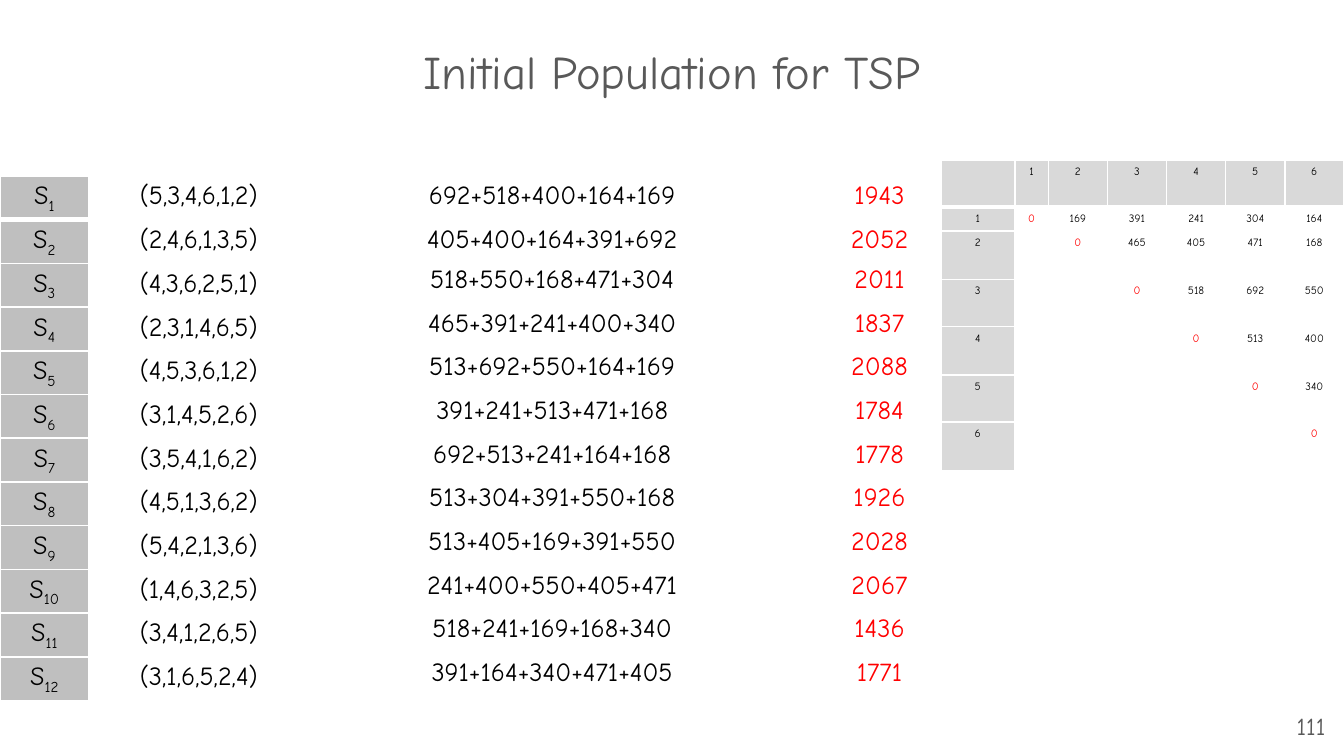
import dataclasses
import typing

import lxml.etree
import pptx
import pptx.dml.color
import pptx.enum.text
import pptx.oxml.ns
import pptx.util

Inches = pptx.util.Inches
Align = pptx.enum.text.PP_ALIGN
Anchor = pptx.enum.text.MSO_ANCHOR

FONT = "Comic Neue"
COLORS = {
    "title": "595959",
    "text": "000000",
    "mark": "FF0000",
    "label": "BFBFBF",
    "head": "D9D9D9",
    "edge": "FFFFFF",
}
PAD = (0.1, 0.04, 0.1, 0.04)
LABEL = (0.1, 0.04, 0.1, 0.02)
TIGHT = (0.01, 0.01, 0.01, 0)

TOURS = [
    ("(5,3,4,6,1,2)", "692+518+400+164+169"),
    ("(2,4,6,1,3,5)", "405+400+164+391+692"),
    ("(4,3,6,2,5,1)", "518+550+168+471+304"),
    ("(2,3,1,4,6,5)", "465+391+241+400+340"),
    ("(4,5,3,6,1,2)", "513+692+550+164+169"),
    ("(3,1,4,5,2,6)", "391+241+513+471+168"),
    ("(3,5,4,1,6,2)", "692+513+241+164+168"),
    ("(4,5,1,3,6,2)", "513+304+391+550+168"),
    ("(5,4,2,1,3,6)", "513+405+169+391+550"),
    ("(1,4,6,3,2,5)", "241+400+550+405+471"),
    ("(3,4,1,2,6,5)", "518+241+169+168+340"),
    ("(3,1,6,5,2,4)", "391+164+340+471+405"),
]
# Upper triangle of the distance matrix, from the diagonal rightwards
COSTS = [
    [0, 169, 391, 241, 304, 164],
    [0, 465, 405, 471, 168],
    [0, 518, 692, 550],
    [0, 513, 400],
    [0, 340],
    [0],
]


@dataclasses.dataclass
class Cell:
    text: str = ""
    sub: str = ""
    color: str = "text"
    fill: str = ""
    pad: tuple = PAD


@dataclasses.dataclass
class Grid:
    left: float
    top: float
    cols: list[float]
    rows: list[float]
    size: float
    cells: list[list[Cell]]


def add_run(para: typing.Any, text: str, size: float, color: str) -> typing.Any:
    run = para.add_run()
    run.text = text
    run.font.size = pptx.util.Pt(size)
    run.font.name = FONT
    run.font.color.rgb = pptx.dml.color.RGBColor.from_string(COLORS[color])
    return run


def add_text(slide: typing.Any, text: str, box: tuple, size: float,
             align: Align, anchor: Anchor, pad: tuple) -> None:
    frame = slide.shapes.add_textbox(*map(Inches, box)).text_frame
    frame.word_wrap = True
    frame.vertical_anchor = anchor
    set_pad(frame, pad)
    para = frame.paragraphs[0]
    para.alignment = align
    add_run(para, text, size, "title")


def set_pad(item: typing.Any, pad: tuple) -> None:
    """Set the left, top, right and bottom margins of a cell or text frame."""
    (item.margin_left, item.margin_top,
     item.margin_right, item.margin_bottom) = map(Inches, pad)


def add_edges(cell: typing.Any, row: int) -> None:
    """Rule the cell in white, thicker between the first two rows."""
    qn = pptx.oxml.ns.qn
    props = cell._tc.get_or_add_tcPr()
    widths = {"L": 1, "R": 1, "T": 3 if row == 1 else 1, "B": 3 if row == 0 else 1}
    for place, (side, width) in enumerate(widths.items()):
        line = lxml.etree.Element(qn(f"a:ln{side}"), w=str(pptx.util.Pt(width)))
        fill = lxml.etree.SubElement(line, qn("a:solidFill"))
        lxml.etree.SubElement(fill, qn("a:srgbClr"), val=COLORS["edge"])
        props.insert(place, line)


def fill_cell(cell: typing.Any, data: Cell, size: float) -> None:
    set_pad(cell, data.pad)
    if data.fill:
        cell.fill.solid()
        cell.fill.fore_color.rgb = pptx.dml.color.RGBColor.from_string(COLORS[data.fill])
    else:
        cell.fill.background()
    para = cell.text_frame.paragraphs[0]
    para.alignment = Align.CENTER
    if data.text:
        add_run(para, data.text, size, data.color)
    else:
        # An empty cell must not stretch its row
        lxml.etree.SubElement(para._p, pptx.oxml.ns.qn("a:endParaRPr"),
                              sz=str(int(size * 100)))
    if data.sub:
        run = add_run(para, data.sub, size, data.color)
        run.font._element.set("baseline", "-25000")


def add_grid(slide: typing.Any, grid: Grid) -> None:
    table = slide.shapes.add_table(
        len(grid.rows), len(grid.cols), Inches(grid.left), Inches(grid.top),
        Inches(sum(grid.cols)), Inches(sum(grid.rows))).table
    table.first_row = table.horz_banding = False
    for col, width in zip(table.columns, grid.cols):
        col.width = Inches(width)
    for row, height in zip(table.rows, grid.rows):
        row.height = Inches(height)
    for r, line in enumerate(grid.cells):
        for c, data in enumerate(line):
            cell = table.cell(r, c)
            fill_cell(cell, data, grid.size)
            add_edges(cell, r)


def tour_cells() -> list[list[Cell]]:
    lines = []
    for num, (tour, costs) in enumerate(TOURS, 1):
        pad = PAD if num < 3 else TIGHT
        total = sum(map(int, costs.split("+")))
        lines.append([Cell("S", str(num), fill="label", pad=LABEL), Cell(tour),
                      Cell(costs, pad=pad), Cell(str(total), color="mark", pad=pad)])
    return lines


def cost_cells() -> list[list[Cell]]:
    heads = [Cell(str(num), fill="head") for num in range(1, len(COSTS) + 1)]
    lines = [[Cell(fill="head"), *heads]]
    for gap, (head, costs) in enumerate(zip(heads, COSTS)):
        blanks = [Cell() for _ in range(gap)]
        values = [Cell(str(cost), color="text" if cost else "mark") for cost in costs]
        lines.append([head, *blanks, *values])
    return lines


def main() -> None:
    deck = pptx.Presentation()
    deck.slide_width = Inches(10)
    deck.slide_height = Inches(10 * 9 / 16)
    slide = deck.slides.add_slide(deck.slide_layouts[6])
    add_text(slide, "Initial Population for TSP", (0, 0, 10, 1.06), 25,
             Align.CENTER, Anchor.MIDDLE, (0.1, 0.05, 0.1, 0.05))
    add_grid(slide, Grid(0, 1.31, [0.66, 1.64, 3.62, 1.25],
                         [0.3] * len(TOURS), 14, tour_cells()))
    add_grid(slide, Grid(7, 1.19, [0.55, 0.25] + [0.44] * 5,
                         [0.35, 0.18, 0.36, 0.35, 0.36, 0.35, 0.36], 6, cost_cells()))
    add_text(slide, "111", (9.36, 5.19, 0.6, 0.43), 13,
             Align.RIGHT, Anchor.TOP, (0.1, 0.1, 0.1, 0.1))
    deck.save("out.pptx")


if __name__ == "__main__":
    main()
